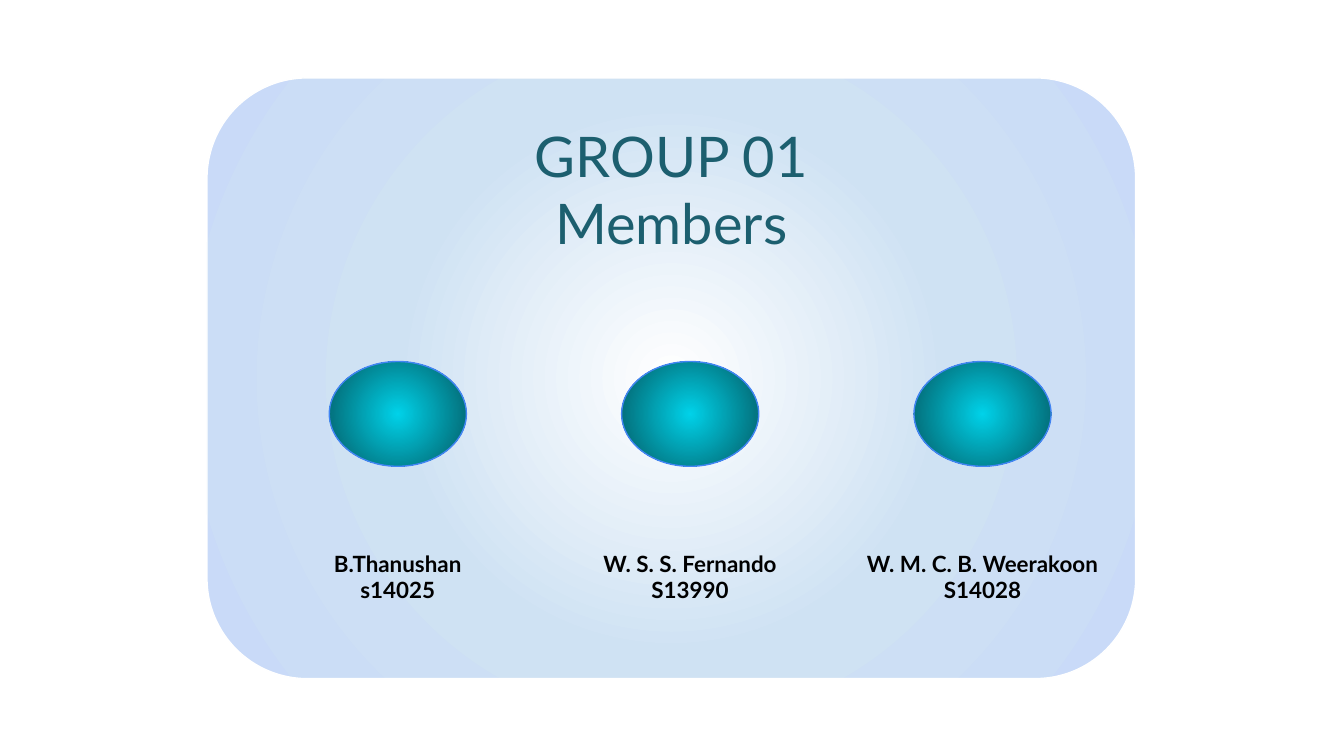
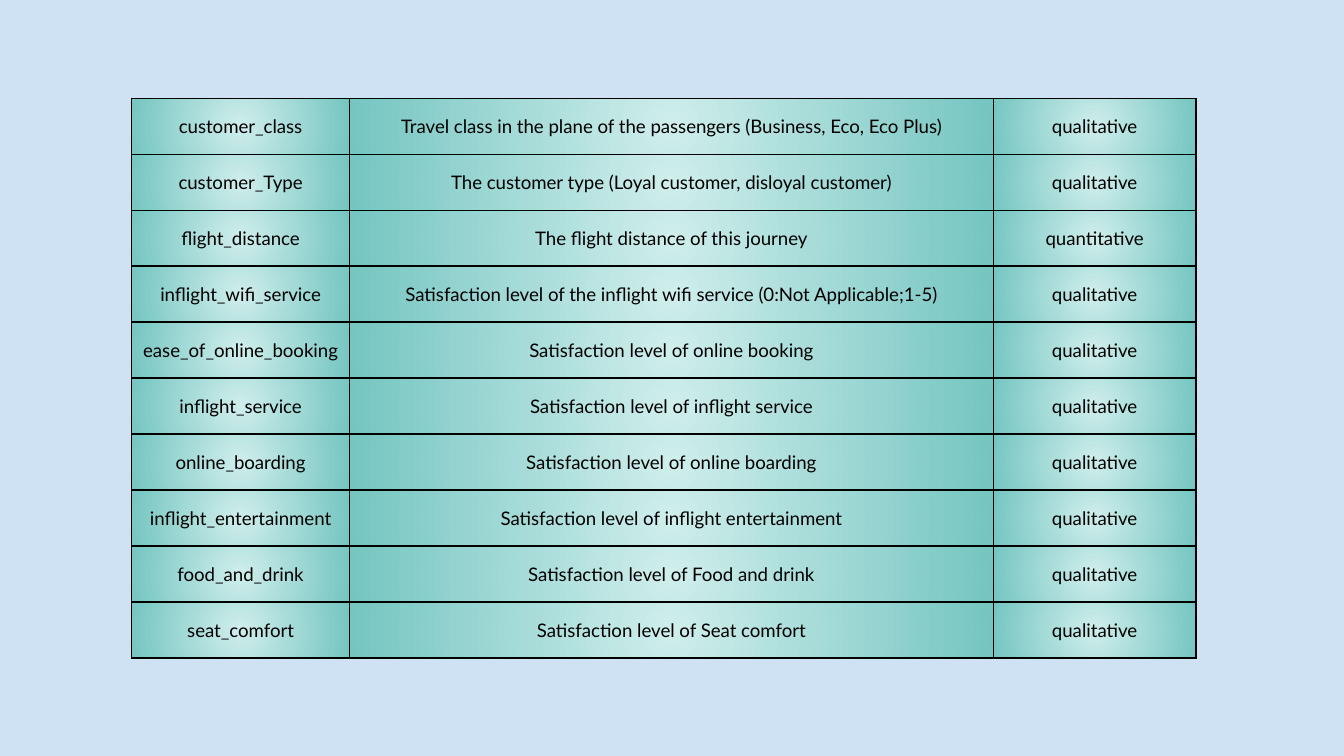
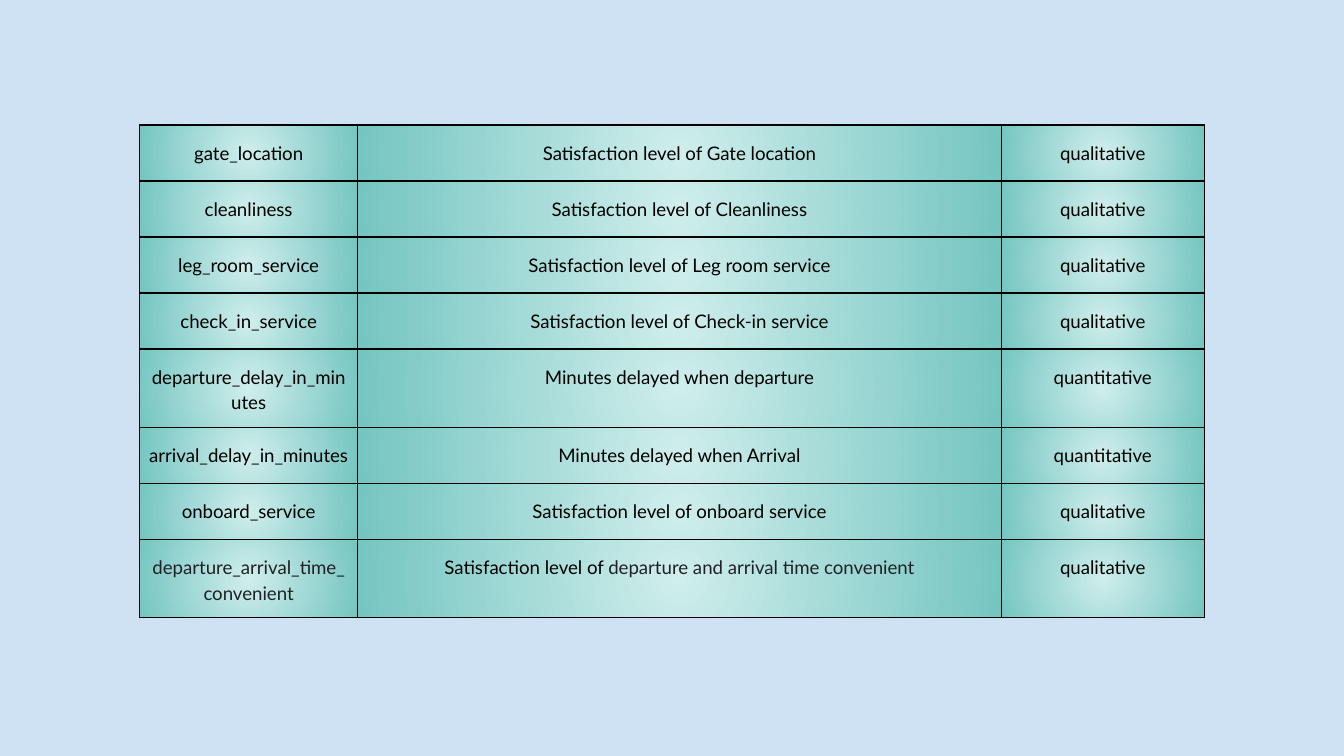
from dataclasses import dataclass

from lxml import etree
from pptx import Presentation
from pptx.dml.color import RGBColor
from pptx.enum.shapes import MSO_SHAPE
from pptx.enum.text import MSO_ANCHOR, MSO_AUTO_SIZE, PP_ALIGN
from pptx.oxml.ns import qn
from pptx.util import Inches, Pt

ROUND, OVAL = MSO_SHAPE.ROUNDED_RECTANGLE, MSO_SHAPE.OVAL
TOP, CENTER, FIXED = MSO_ANCHOR.TOP, PP_ALIGN.CENTER, MSO_AUTO_SIZE.NONE
TITLE_ONLY, BLANK = 5, 6


@dataclass(frozen=True)
class Theme:
    font: str = "Lato"
    white: str = "FFFFFF"
    sky: str = "CFE2F3"
    black: str = "000000"
    soft: str = "202124"
    title: str = "1C5F6F"
    rim: str = "4285F4"
    panel: tuple = ((0, "FFFFFF"), (50, "CFE2F3"), (100, "C9DAF8"))
    oval: tuple = ((0, "00D2E9"), (100, "045962"))
    cell: tuple = ((0, "CFEEEC"), (100, "75C5C1"))
    big: int = 30
    mid: int = 12
    small: int = 10
    rule: float = 0.75
    inset: float = 0.1
    side: float = 0.07


THEME = Theme()


@dataclass(frozen=True)
class Box:
    x: int
    y: int
    w: int
    h: int

    def inner(self, x, y, w, h):
        """Return a box inside this one, given in percent of its size."""
        return Box(self.x + round(self.w * x / 100), self.y + round(self.h * y / 100),
                   round(self.w * w / 100), round(self.h * h / 100))

    @property
    def rect(self):
        return self.x, self.y, self.w, self.h


PAGE = Box(0, 0, Inches(10), Inches(5.625))

MEMBERS = [("B.Thanushan\ns14025", 26.2),
           ("W. S. S. Fernando\nS13990", 26.2),
           ("W. M. C. B. Weerakoon\nS14028", 31.26)]

# A bar switches between the black and the soft ink.
QUAL, QUANT = "qualitative", "quantitative"
LEVEL = "Satisfaction level of "
FLIGHT = [
    ("customer_class",
     "Travel class in the plane of the passengers (Business, Eco, Eco Plus)", QUAL),
    ("customer_Type", "The customer type (Loyal customer, disloyal customer)", QUAL),
    ("flight_distance", "The flight distance of this journey", QUANT),
    ("inflight_wifi_service",
     LEVEL + "the inflight wifi service (0:Not Applicable;1-5)", QUAL),
    ("ease_of_online_booking", LEVEL + "online booking", QUAL),
    ("inflight_service", LEVEL + "inflight service", QUAL),
    ("online_boarding", LEVEL + "online boarding", QUAL),
    ("inflight_entertainment", LEVEL + "inflight entertainment", QUAL),
    ("food_and_drink", LEVEL + "Food and drink", QUAL),
    ("seat_comfort", LEVEL + "Seat comfort", QUAL),
]
GROUND = [
    ("gate_location", LEVEL + "Gate location", QUAL),
    ("cleanliness", LEVEL + "Cleanliness", QUAL),
    ("leg_room_service", LEVEL + "Leg room service", QUAL),
    ("check_in_service", LEVEL + "Check-in service", QUAL),
    ("departure_delay_in_minutes", "Minutes delayed when departure", QUANT),
    ("arrival_delay_in_minutes", "Minutes delayed when Arrival", QUANT),
    ("onboard_service", LEVEL + "onboard service", QUAL),
    ("|departure_arrival_time_convenient",
     LEVEL + "|departure and arrival time convenient", QUAL),
]
COLS = (16.2, 47.9, 15.1)
ROW = 7.41


def rgb(code):
    return RGBColor.from_string(code)


def glow(item, node, stops):
    """Fill a shape or cell from its centre outwards."""
    item.fill.gradient()
    grad = next(node.iter(qn("a:gradFill")))
    grad.clear()
    steps = etree.SubElement(grad, qn("a:gsLst"))
    for share, code in stops:
        step = etree.SubElement(steps, qn("a:gs"), pos=str(share * 1000))
        etree.SubElement(step, qn("a:srgbClr"), val=code)
    ring = etree.SubElement(grad, qn("a:path"))
    ring.set("path", "circle")
    etree.SubElement(ring, qn("a:fillToRect"), {side: "50000" for side in "ltrb"})


def style(run, size, code, bold=False):
    font = run.font
    font.name, font.size, font.bold = THEME.font, Pt(size), bold
    font.color.rgb = rgb(code)


def write(shape, text, size, code, bold=False):
    frame = shape.text_frame
    frame.text = text
    frame.word_wrap, frame.auto_size = True, FIXED
    frame.vertical_anchor = TOP
    frame.margin_left = frame.margin_right = Inches(THEME.inset)
    frame.margin_top = frame.margin_bottom = Inches(THEME.inset)
    for para in frame.paragraphs:
        para.alignment = CENTER
        for run in para.runs:
            style(run, size, code, bold)


def paint(slide, code):
    slide.background.fill.solid()
    slide.background.fill.fore_color.rgb = rgb(code)


def draw(slide, kind, box, stops, edge):
    shape = slide.shapes.add_shape(kind, *box.rect)
    shape.shadow.inherit = False
    glow(shape, shape.element, stops)
    shape.line.color.rgb = rgb(edge)
    shape.line.width = Pt(THEME.rule)
    return shape


def member(slide, box, mid, text, wide):
    """Draw an oval and its caption, both centred on mid percent of the box."""
    draw(slide, OVAL, box.inner(mid - 7.38, 47.2, 14.76, 17.45), THEME.oval, THEME.rim)
    area = box.inner(mid - wide / 2, 76.29, wide, 13.65)
    label = slide.shapes.add_textbox(*area.rect)
    write(label, text, THEME.mid, THEME.black, bold=True)


def team(deck, box):
    slide = deck.slides.add_slide(deck.slide_layouts[TITLE_ONLY])
    paint(slide, THEME.white)
    panel = draw(slide, ROUND, box, THEME.panel, THEME.white)
    panel.adjustments[0] = 0.167
    title = slide.shapes.title
    panel.element.addnext(title.element)
    head = box.inner(5, 5, 90, 28)
    title.left, title.top, title.width, title.height = head.rect
    write(title, "GROUP 01\nMembers", THEME.big, THEME.title)
    for i, (text, wide) in enumerate(MEMBERS):
        member(slide, box, 20.55 + 31.48 * i, text, wide)


def frame_cell(node):
    """Put a thin black line on each side of a cell."""
    props = node.get_or_add_tcPr()
    for i, side in enumerate("LRTB"):
        line = etree.Element(qn("a:ln" + side), w=str(Pt(THEME.rule)))
        fill = etree.SubElement(line, qn("a:solidFill"))
        etree.SubElement(fill, qn("a:srgbClr"), val=THEME.black)
        props.insert(i, line)


def fill_cell(cell, node, text):
    glow(cell, node, THEME.cell)
    frame_cell(node)
    cell.margin_left = cell.margin_right = Inches(THEME.side)
    cell.margin_top = cell.margin_bottom = Inches(THEME.inset)
    para = cell.text_frame.paragraphs[0]
    para.alignment, para.line_spacing, para.space_before = CENTER, 1.15, Pt(12)
    marked = text if "|" in text else text.replace("_", "|_|")
    for i, piece in enumerate(marked.split("|")):
        if piece:
            run = para.add_run()
            run.text = piece
            style(run, THEME.small, THEME.soft if i % 2 else THEME.black)


def fields(deck, left, top, rows):
    """Add a slide with a table of field names, meanings and kinds."""
    slide = deck.slides.add_slide(deck.slide_layouts[BLANK])
    paint(slide, THEME.sky)
    box = PAGE.inner(left, top, sum(COLS), ROW * len(rows))
    grid = slide.shapes.add_table(len(rows), len(COLS), *box.rect)
    table = grid.table
    table.first_row = table.horz_banding = False
    for col, share in zip(table.columns, COLS):
        col.width = round(PAGE.w * share / 100)
    for row in table.rows:
        row.height = round(PAGE.h * ROW / 100)
    texts = [text for row in rows for text in row]
    nodes = list(grid.element.iter(qn("a:tc")))
    for cell, node, text in zip(table.iter_cells(), nodes, texts):
        fill_cell(cell, node, text)


def main():
    deck = Presentation()
    deck.slide_width, deck.slide_height = PAGE.w, PAGE.h
    team(deck, PAGE.inner(15.4, 10.31, 69.1, 79.47))
    fields(deck, 9.8, 12.98, FLIGHT)
    fields(deck, 10.4, 16.53, GROUND)
    deck.save("out.pptx")


if __name__ == "__main__":
    main()
